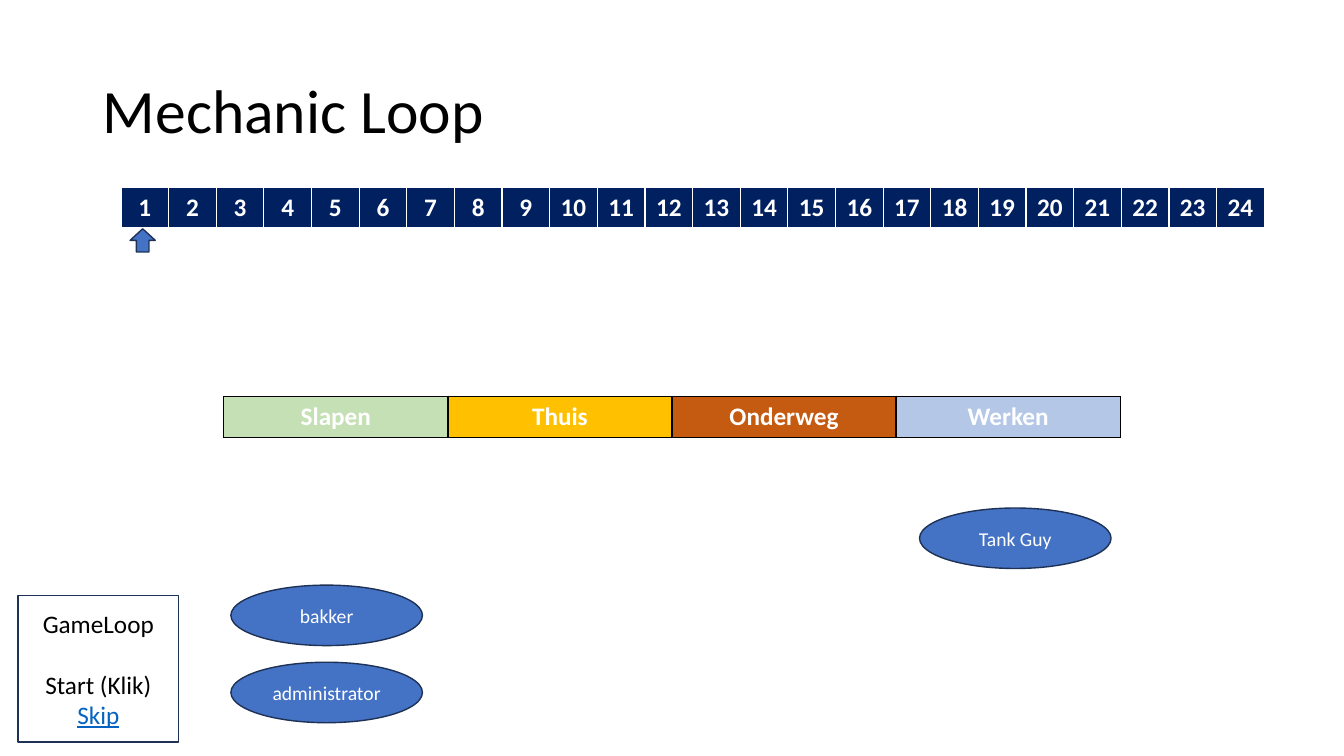
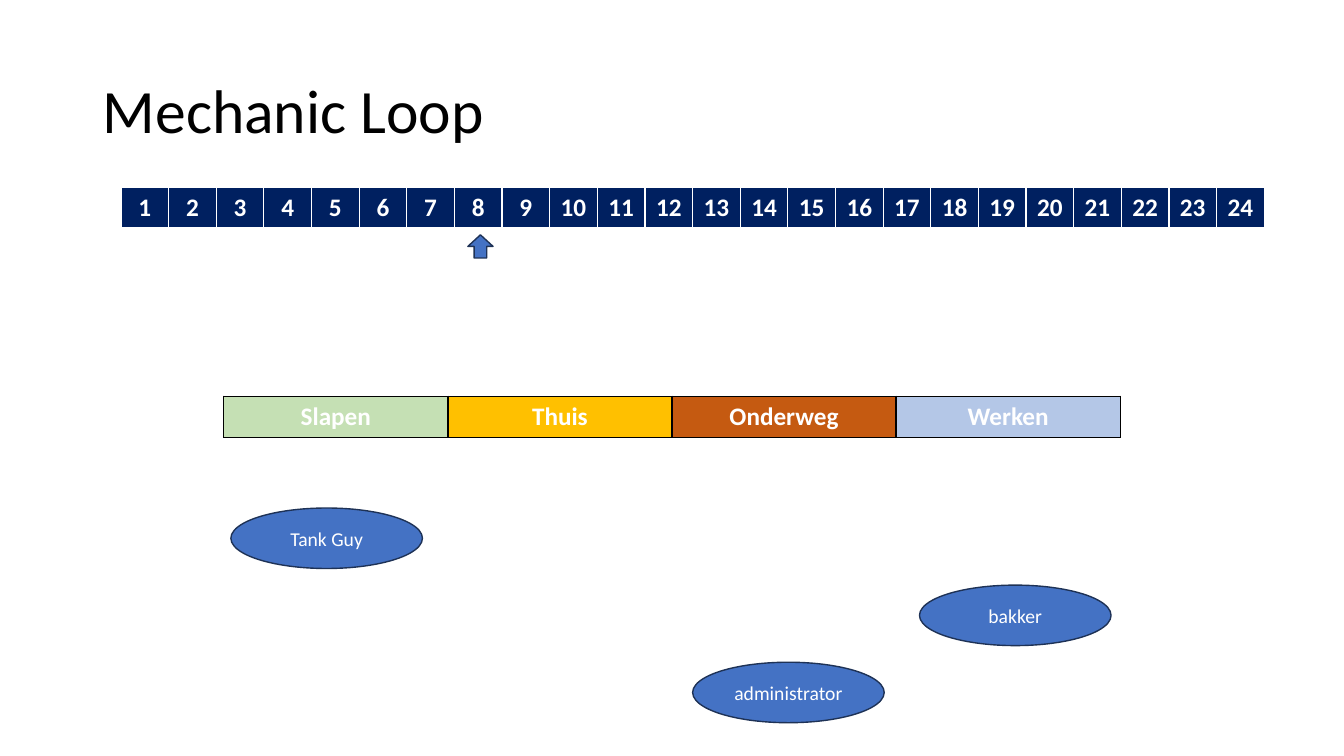
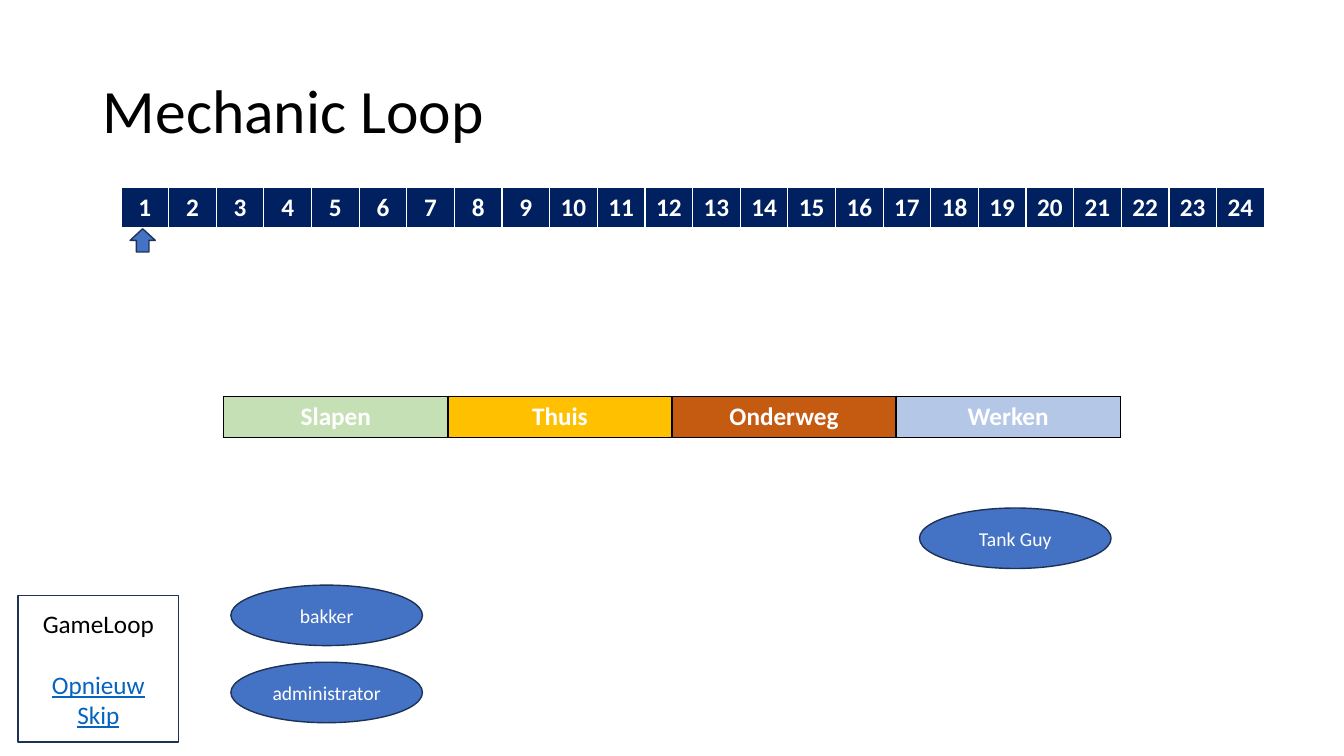
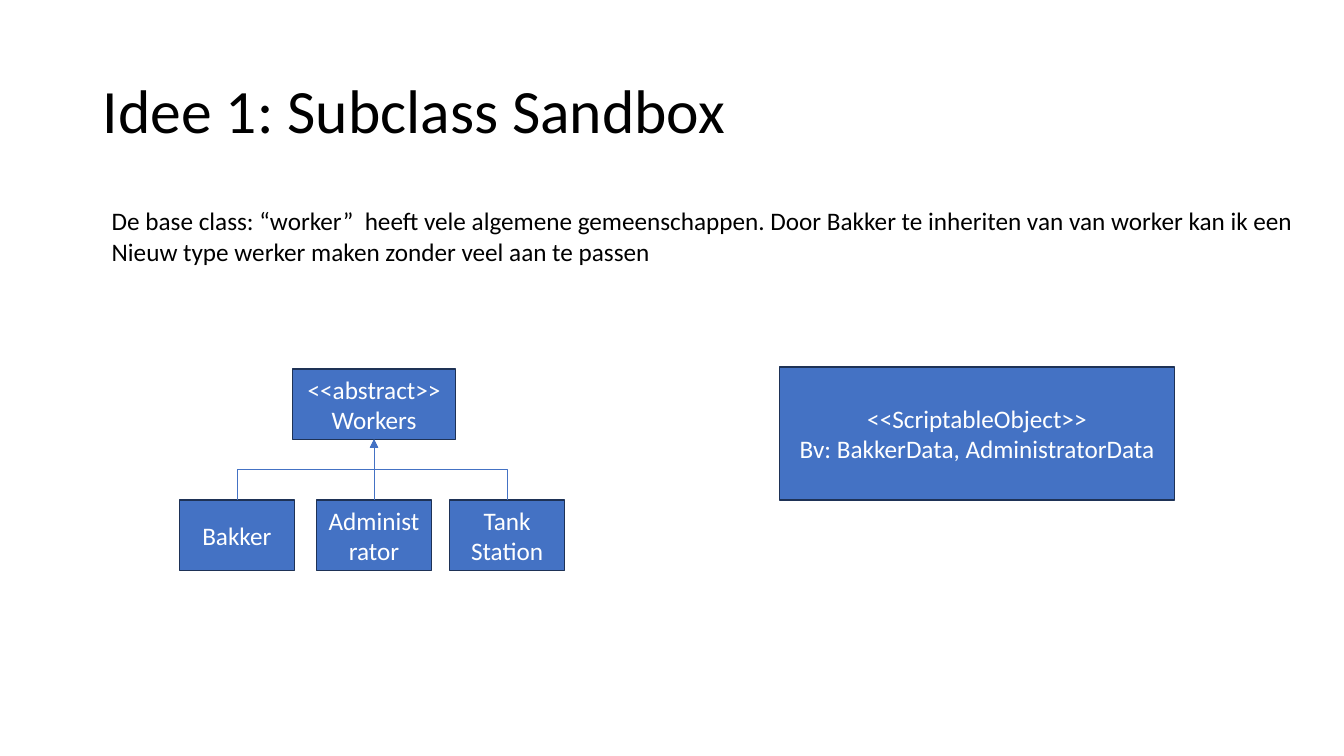
"""Build the four slides on the game's mechanic loop and its worker classes."""

from lxml import etree
from pptx import Presentation
from pptx import util as u
from pptx.dml import color
from pptx.enum import shapes, text
from pptx.oxml import ns

BLACK, WHITE, NAVY = "000000", "FFFFFF", "002060"
BLUE, OUTLINE, LINK = "4472C4", "1E3256", "0563C1"
ACTIVITIES = {"Slapen": "C5E0B4", "Thuis": "FFC000", "Onderweg": "C55A11", "Werken": "B4C7E7"}
WORKER_LEFT = {"Slapen": 2.29, "Onderweg": 6.87, "Werken": 9.12}


def rgb(value):
    """Return the colour for a hex string."""
    return color.RGBColor.from_string(value)


def inches(*values):
    """Convert numbers to lengths."""
    return [u.Inches(value) for value in values]


class Deck:
    """Hold the style and the current slide, and draw each kind of element."""

    font = "Calibri"

    def __init__(self):
        """Start an empty widescreen presentation."""
        self.presentation = Presentation()
        self.presentation.slide_width, self.presentation.slide_height = inches(13.33, 7.5)
        self.slide = None

    def set_text(self, frame, words, size=18, ink=WHITE, bold=None, align=text.PP_ALIGN.CENTER):
        """Set the text of a frame and format its paragraphs and runs."""
        frame.text = words
        for paragraph in frame.paragraphs:
            paragraph.alignment = align
            for run in paragraph.runs:
                run.font.name, run.font.size, run.font.bold = self.font, u.Pt(size), bold
                run.font.color.rgb = rgb(ink)

    def add_slide(self, title):
        """Add a slide with the shared title style."""
        self.slide = self.presentation.slides.add_slide(self.presentation.slide_layouts[5])
        shape = self.slide.shapes.title
        shape.left, shape.top, shape.width, shape.height = inches(0.92, 0.4, 11.5, 1.45)
        frame = shape.text_frame
        self.set_text(frame, title, 44, BLACK, align=text.PP_ALIGN.LEFT)
        frame.vertical_anchor = text.MSO_ANCHOR.MIDDLE
        frame.auto_size = text.MSO_AUTO_SIZE.NONE
        frame.paragraphs[0].line_spacing = 0.9

    def shape(self, kind, box, words="", size=18, fill=BLUE, ink=WHITE):
        """Add an outlined preset shape with centred text."""
        shape = self.slide.shapes.add_shape(kind, *inches(*box))
        shape.shadow.inherit = False
        shape.fill.solid()
        shape.fill.fore_color.rgb = rgb(fill)
        shape.line.color.rgb = rgb(OUTLINE)
        shape.line.width = u.Pt(1)
        self.set_text(shape.text_frame, words, size, ink)
        return shape

    def box(self, box, words, **style):
        """Add a rectangle with text."""
        return self.shape(shapes.MSO_SHAPE.RECTANGLE, box, words, **style)

    def note(self, box, words):
        """Add a text box that does not wrap."""
        frame = self.slide.shapes.add_textbox(*inches(*box)).text_frame
        frame.word_wrap = False
        frame.auto_size = text.MSO_AUTO_SIZE.SHAPE_TO_FIT_TEXT
        self.set_text(frame, words, ink=BLACK, align=text.PP_ALIGN.LEFT)

    def border(self, cell, ink, bottom):
        """Draw the four borders of a table cell."""
        properties = cell._tc.get_or_add_tcPr()
        for index, side in enumerate(("lnL", "lnR", "lnT", "lnB")):
            width = u.Pt(bottom if side == "lnB" else 1)
            line = etree.Element(ns.qn(f"a:{side}"), w=str(width))
            fill = etree.SubElement(line, ns.qn("a:solidFill"))
            etree.SubElement(fill, ns.qn("a:srgbClr"), val=ink)
            properties.insert(index, line)

    def row_table(self, box, fills, ink, bottom=1):
        """Add a table of one row from labels and their fills."""
        table = self.slide.shapes.add_table(1, len(fills), *inches(*box)).table
        table.first_row = table.horz_banding = False
        for column, cell, (label, fill) in zip(table.columns, table.rows[0].cells, fills.items()):
            column.width = u.Inches(box[2] / len(fills))
            cell.vertical_anchor = text.MSO_ANCHOR.MIDDLE
            cell.fill.solid()
            cell.fill.fore_color.rgb = rgb(fill)
            self.set_text(cell.text_frame, label, bold=True)
            self.border(cell, ink, bottom)

    def arrow_up(self, start, end):
        """Add an arrow that leaves and arrives vertically, bent where needed."""
        (x1, y1), (x2, y2) = start, end
        kind, turn = shapes.MSO_CONNECTOR.STRAIGHT, 0
        if x1 != x2:
            kind, turn = shapes.MSO_CONNECTOR.ELBOW, 1 if x1 < x2 else -1
            x, y = (x1 + x2) / 2, (y1 + y2) / 2
            across, down = turn * (y1 - y), turn * (x - x1)
            x1, y1, x2, y2 = x + across, y + down, x - across, y - down
        connector = self.slide.shapes.add_connector(kind, *inches(x1, y1, x2, y2))
        connector.line.color.rgb = rgb(BLUE)
        connector.line.width = u.Pt(0.5)
        properties = connector._element.spPr
        if turn:
            properties.find(ns.qn("a:xfrm")).set("rot", str(turn * 90 % 360 * 60000))
        etree.SubElement(properties.find(ns.qn("a:ln")), ns.qn("a:tailEnd"), type="triangle")
        etree.SubElement(properties, ns.qn("a:effectLst"))

    def menu(self, choices, links):
        """Add the game loop menu with some choices in link style."""
        words = "\n".join(["GameLoop", *choices])
        shape = self.box((0.18, 5.91, 1.59, 1.45), words, fill=WHITE, ink=BLACK)
        choice_paragraphs = shape.text_frame.paragraphs[1:]
        choice_paragraphs[0].space_before = u.Pt(22)
        for paragraph in choice_paragraphs:
            if paragraph.text in links:
                font = paragraph.runs[0].font
                font.underline, font.color.rgb = True, rgb(LINK)

    def mechanic_loop(self, pointer, workers):
        """Add a slide with the hours, the activities and where each worker is."""
        self.add_slide("Mechanic Loop")
        hours = {str(hour): NAVY for hour in range(1, 25)}
        self.row_table((1.2, 1.86, 11.34, 0.41), hours, WHITE, bottom=3)
        self.row_table((2.22, 3.93, 8.89, 0.41), ACTIVITIES, BLACK)
        self.shape(shapes.MSO_SHAPE.UP_ARROW, (*pointer, 0.25, 0.23))
        for index, (worker, activity) in enumerate(workers.items()):
            place = (WORKER_LEFT[activity], 5.04 + 0.765 * index, 1.9, 0.6)
            self.shape(shapes.MSO_SHAPE.OVAL, place, worker, size=14)

    def subclass_sandbox(self):
        """Add the slide with the class diagram."""
        self.add_slide("Idee 1: Subclass Sandbox")
        self.note(
            (1.01, 1.99, 12.12, 0.71),
            "De base class: “worker”  heeft vele algemene gemeenschappen. "
            "Door Bakker te inheriten van van worker kan ik een\n"
            "Nieuw type werker maken zonder veel aan te passen",
        )
        self.box((2.9, 3.66, 1.62, 0.7), "<<abstract>>\nWorkers")
        subclasses = {"Bakker": 1.78, "Administrator": 3.14, "Tank Station": 4.46}
        for name, left in subclasses.items():
            self.box((left, 4.96, 1.14, 0.7), name)
            self.arrow_up((left + 0.57, 4.96), (3.71, 4.36))
        self.box(
            (7.73, 3.64, 3.92, 1.32),
            "<<ScriptableObject>>\nBv: BakkerData, AdministratorData",
        )


def main():
    """Build and save the presentation."""
    deck = Deck()
    night = {"Tank Guy": "Werken", "bakker": "Slapen", "administrator": "Slapen"}
    morning = {"Tank Guy": "Slapen", "bakker": "Werken", "administrator": "Onderweg"}
    first_hour, eighth_hour = (1.29, 2.27), (4.64, 2.33)
    deck.mechanic_loop(first_hour, night)
    deck.menu(["Start (Klik)", "Skip"], links=["Skip"])
    deck.mechanic_loop(eighth_hour, morning)
    deck.mechanic_loop(first_hour, night)
    deck.menu(["Opnieuw", "Skip"], links=["Opnieuw", "Skip"])
    deck.subclass_sandbox()
    deck.presentation.save("out.pptx")


if __name__ == "__main__":
    main()
